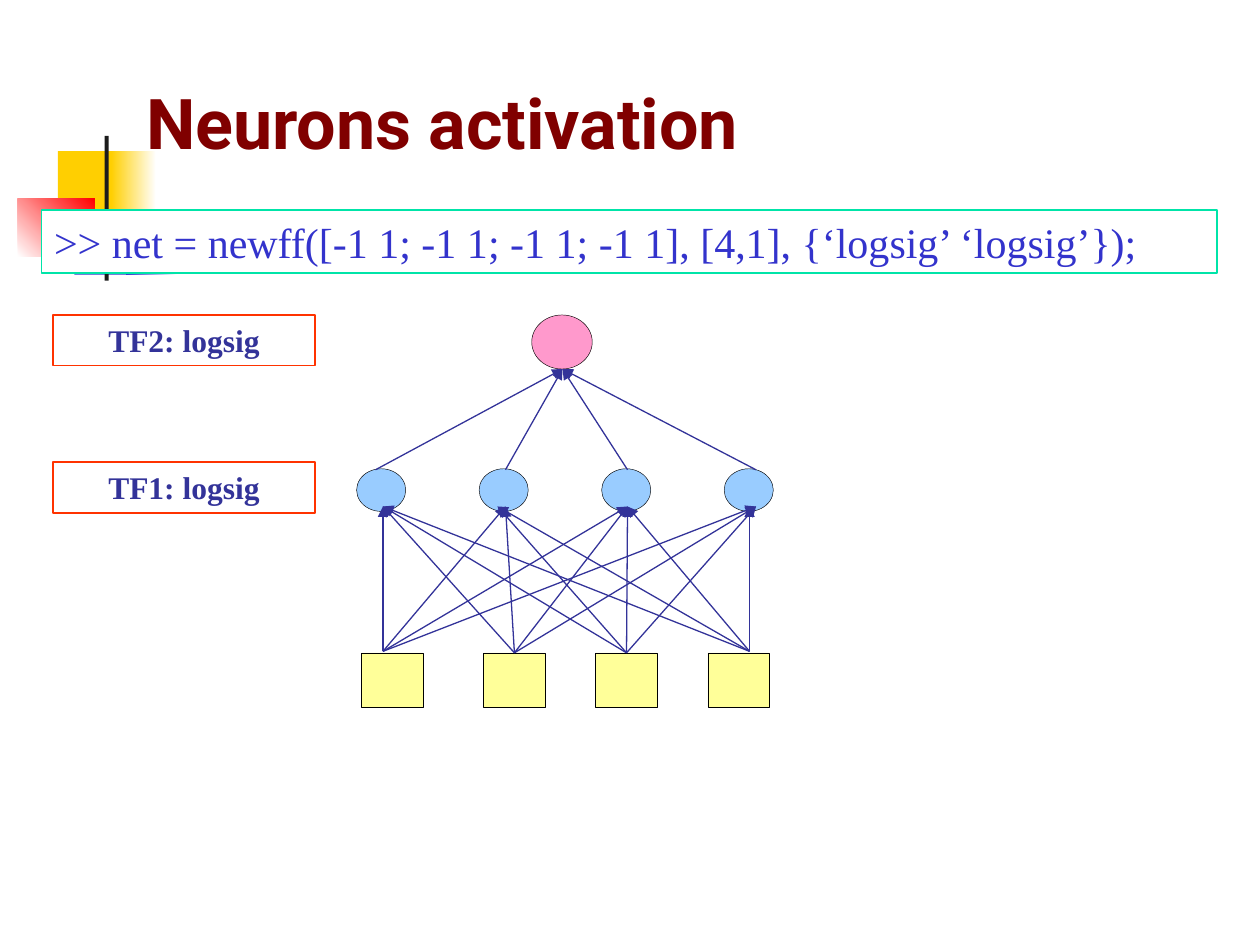
import dataclasses

import lxml.etree
import pptx
import pptx.dml.color
import pptx.enum.shapes
import pptx.enum.text
import pptx.oxml.ns
import pptx.util

Cm, Pt = pptx.util.Cm, pptx.util.Pt
RGB = pptx.dml.color.RGBColor.from_string
SHAPE = pptx.enum.shapes.MSO_SHAPE
ALIGN = pptx.enum.text.PP_ALIGN
qn = pptx.oxml.ns.qn


@dataclasses.dataclass(frozen=True)
class Theme:
    white: str = "FFFFFF"
    yellow: str = "FFCF01"
    blue: str = "3333CC"
    red: str = "FF0000"
    bar: str = "1C1C1C"
    title: str = "800000"
    command_edge: str = "00E4A8"
    label_edge: str = "FF3300"
    navy: str = "333399"
    outline: str = "000000"
    output: str = "FF99CC"
    hidden: str = "99CCFF"
    input: str = "FFFF99"
    title_font: str = "Roboto"
    body_font: str = "Times New Roman"
    title_size: int = 40
    command_size: int = 24
    label_size: int = 18


theme = Theme()
prs = pptx.Presentation()
prs.slide_width, prs.slide_height = Cm(25.4), Cm(19.05)
slide = prs.slides.add_slide(prs.slide_layouts[5])
shapes = slide.shapes


def add_figure(kind, box, fill, edge=None):
    """Add a preset shape; a (start, end, angle) fill makes a gradient."""
    figure = shapes.add_shape(kind, *map(Cm, box))
    figure.shadow.inherit = False
    if isinstance(fill, tuple):
        start, end, angle = fill
        figure.fill.gradient()
        figure.fill.gradient_angle = angle
        for stop, color in zip(figure.fill.gradient_stops, (start, end)):
            stop.color.rgb = RGB(color)
    else:
        figure.fill.solid()
        figure.fill.fore_color.rgb = RGB(fill)
    if edge:
        figure.line.color.rgb = RGB(edge)
        figure.line.width = Pt(0.25)
    else:
        figure.line.fill.background()
    return figure


def add_arrow(x1, y1, x2, y2):
    arrow = shapes.add_connector(
        pptx.enum.shapes.MSO_CONNECTOR.STRAIGHT, Cm(x1), Cm(y1), Cm(x2), Cm(y2))
    arrow.line.color.rgb = RGB(theme.navy)
    arrow.line.width = Pt(0.75)
    lxml.etree.SubElement(arrow.line._get_or_add_ln(), qn("a:tailEnd"), type="triangle")
    lxml.etree.SubElement(arrow.element.spPr, qn("a:effectLst"))
    return arrow


# Corner ornament
for box, fill in [
    ((1.17, 3.05, 1.22, 1.32), theme.yellow),
    ((2.24, 3.05, 0.91, 1.32), (theme.yellow, theme.white, 0)),
    ((1.5, 4.22, 1.17, 1.32), theme.blue),
    ((2.54, 4.22, 1.02, 1.32), (theme.blue, theme.white, 0)),
    ((0.36, 4.01, 1.55, 1.17), (theme.white, theme.red, 45)),
    ((2.11, 2.74, 0.08, 2.92), theme.bar),
]:
    add_figure(SHAPE.RECTANGLE, box, fill)

# Title, brought in front of the ornament
heading = shapes.title
heading.element.getparent().append(heading.element)
heading.left, heading.top, heading.width, heading.height = map(Cm, (2.69, 0.71, 21.64, 2.72))
heading.text_frame.text = "Neurons activation"
heading.text_frame.auto_size = pptx.enum.text.MSO_AUTO_SIZE.NONE
heading.text_frame.vertical_anchor = pptx.enum.text.MSO_ANCHOR.BOTTOM
heading.text_frame.paragraphs[0].alignment = ALIGN.LEFT
heading_format = {"name": theme.title_font, "size": Pt(theme.title_size), "bold": True}
for attribute, value in heading_format.items():
    setattr(heading.text_frame.paragraphs[0].font, attribute, value)
heading.text_frame.paragraphs[0].font.color.rgb = RGB(theme.title)

# Command line and transfer function labels
command = ">> net = newff([-1 1; -1 1; -1 1; -1 1], [4,1], {‘logsig’ ‘logsig’});"
command_format = {"name": theme.body_font, "size": Pt(theme.command_size), "bold": False}
label_format = {"name": theme.body_font, "size": Pt(theme.label_size), "bold": True}
label_style = (theme.label_edge, theme.navy, ALIGN.CENTER, 11.2, label_format)
for wording, box, (edge, ink, alignment, gap, font_format) in [
    (command, (0.84, 4.24, 23.7, 1.27),
     (theme.command_edge, theme.blue, ALIGN.LEFT, 15, command_format)),
    ("TF1: logsig", (1.07, 9.32, 5.28, 1.02), label_style),
    ("TF2: logsig", (1.07, 6.35, 5.28, 1.02), label_style),
]:
    panel = shapes.add_textbox(*map(Cm, box))
    panel.line.color.rgb = RGB(edge)
    panel.line.width = Pt(1)
    if wording == command:
        panel.fill.solid()
        panel.fill.fore_color.rgb = RGB(theme.white)
    panel.text_frame.word_wrap = True
    panel.text_frame.auto_size = pptx.enum.text.MSO_AUTO_SIZE.SHAPE_TO_FIT_TEXT
    line = panel.text_frame.paragraphs[0]
    line.text = wording
    line.alignment = alignment
    line.space_before = Pt(gap)
    for attribute, value in font_format.items():
        setattr(line.font, attribute, value)
    line.font.color.rgb = RGB(ink)

# Network layers
add_figure(SHAPE.OVAL, (10.72, 6.35, 1.22, 1.09), theme.output, theme.outline)
for i in range(4):
    add_figure(SHAPE.OVAL, (7.19 + 2.47 * i, 9.45, 0.99, 0.86), theme.hidden, theme.outline)
inputs = [
    add_figure(SHAPE.RECTANGLE, (left, 13.16, 1.24, 1.09), theme.input, theme.outline)
    for left in (7.29, 9.75, 12.01, 14.27)
]

# Input to hidden: start of each fan, its tips, and whether it leaves the square's middle
fans = [
    (7.72, (7.72, 10.19, 12.65, 15.24), False),
    (10.34, (7.72, 10.19, 12.65, 15.24), True),
    (12.65, (7.72, 10.03, 12.65, 15.24), True),
    (15.11, (7.72, 10.03, 12.65, 15.11), False),
]
for square, (start, tips, joined) in zip(inputs, fans):
    for tip in tips:
        weight = add_arrow(start, 13.13, tip, 10.21)
        if joined:
            weight.begin_connect(square, 0)

# Hidden to output
for start in (7.57, 10.19, 12.65, 15.24):
    add_arrow(start, 9.47, 11.34, 7.44)

prs.save("out.pptx")
